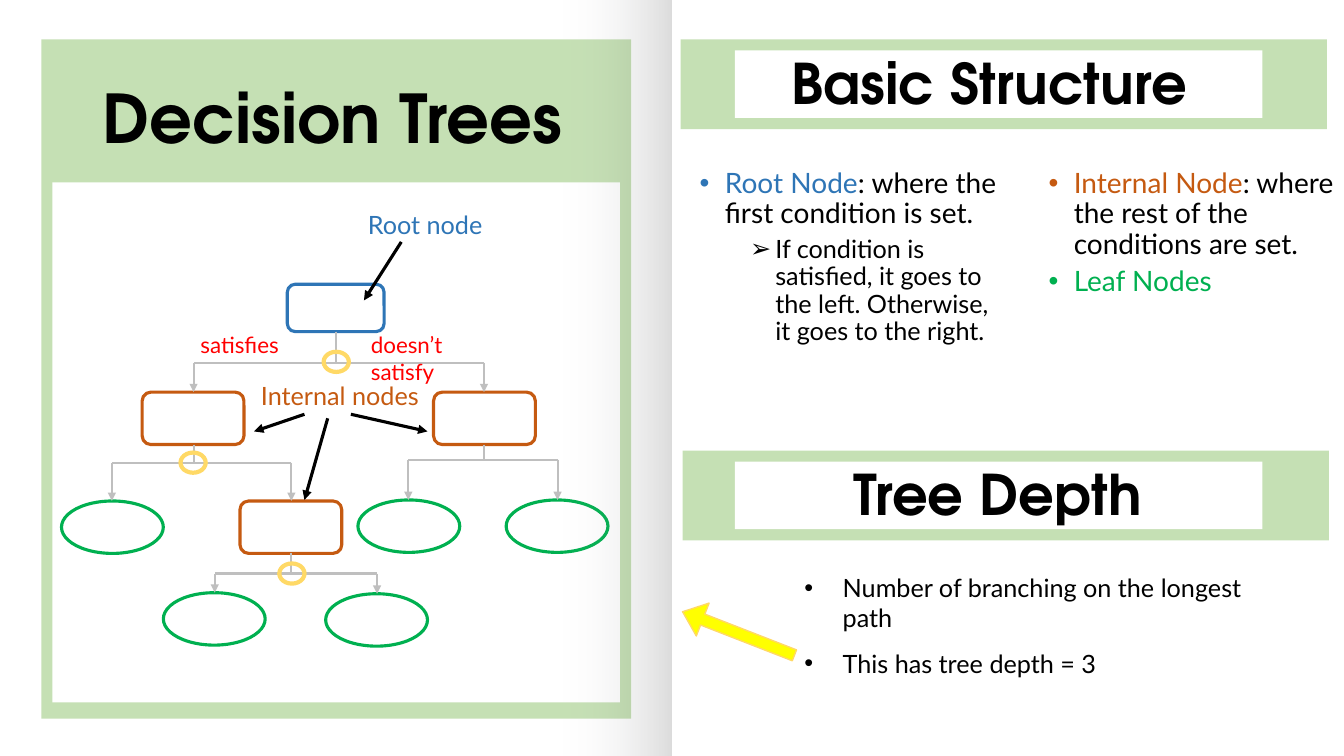
import pptx
import pptx.dml.color
import pptx.enum.shapes
import pptx.enum.text
import pptx.oxml
import pptx.oxml.ns
import pptx.util
from lxml import etree
from pptx.util import Inches

TEXT_FONT = "Lato"
TITLE_FONT = "TeX Gyre Adventor"
BLACK, WHITE, PALE_GREEN = "000000", "FFFFFF", "C5E0B4"
BLUE, ORANGE, GREEN, RED = "2E75B6", "C55A11", "00B050", "FF0000"
GRAY, GOLD, YELLOW = "BFBFBF", "FFD966", "FFFF00"

rgb = pptx.dml.color.RGBColor.from_string
qn = pptx.oxml.ns.qn
kinds = pptx.enum.shapes.MSO_SHAPE
center = pptx.enum.text.PP_ALIGN.CENTER

presentation = pptx.Presentation()
presentation.slide_width = Inches(13.33)
presentation.slide_height = Inches(7.5)
slide = presentation.slides.add_slide(presentation.slide_layouts[3])


def add_box(kind, left, top, width, height, fill=None, line=None, weight=2.25):
    shape = slide.shapes.add_shape(
        kind, Inches(left), Inches(top), Inches(width), Inches(height))
    shape.shadow.inherit = False
    if fill:
        shape.fill.solid()
        shape.fill.fore_color.rgb = rgb(fill)
    else:
        shape.fill.background()
    if line:
        shape.line.color.rgb = rgb(line)
        shape.line.width = pptx.util.Pt(weight)
    else:
        shape.line.fill.background()
    return shape


def write(frame, text, size=18, color=BLACK, font=TEXT_FONT, bold=False, align=None,
          lead="", lead_color=BLACK, bullet=None, indent=0, hang=0, level=0,
          spacing=1.0, before=0):
    """Add a paragraph; lead is an opening phrase in its own colour."""
    frame.word_wrap = True
    frame.auto_size = pptx.enum.text.MSO_AUTO_SIZE.NONE
    paragraph = frame.paragraphs[0] if not frame.text else frame.add_paragraph()
    paragraph.level = level
    if bullet:
        properties = paragraph._p.get_or_add_pPr()
        properties.set("marL", str(Inches(indent)))
        properties.set("indent", str(Inches(-hang)))
        etree.SubElement(properties, qn("a:buFont")).set("typeface", "Arial")
        etree.SubElement(properties, qn("a:buChar")).set("char", bullet)
    paragraph.alignment = align
    paragraph.line_spacing = spacing
    paragraph.space_before = pptx.util.Pt(before)
    for words, shade in ((lead, lead_color), (text, color)):
        if words:
            run = paragraph.add_run()
            run.text = words
            run.font.name = font
            run.font.size = pptx.util.Pt(size)
            run.font.bold = bold
            run.font.color.rgb = rgb(shade)


# Panels
for left, top, width, height, fill in (
        (6.77, 4.47, 6.41, 0.89, PALE_GREEN), (7.29, 4.58, 5.23, 0.67, WHITE),
        (0.41, 0.39, 5.85, 6.74, PALE_GREEN), (0.52, 1.81, 5.63, 5.16, WHITE),
        (6.75, 0.39, 6.41, 0.89, PALE_GREEN), (7.29, 0.5, 5.23, 0.67, WHITE)):
    add_box(kinds.RECTANGLE, left, top, width, height, fill)

# Title, brought in front of its panel
title = slide.shapes.title
title.left, title.top = Inches(0.57), Inches(0.7)
title.width, title.height = Inches(5.45), Inches(0.91)
title.text_frame.vertical_anchor = pptx.enum.text.MSO_ANCHOR.MIDDLE
write(title.text_frame, "Decision Trees", size=48, font=TITLE_FONT, bold=True, align=center)
title.element.getparent().append(title.element)

# Structure lists
root_list, node_list = slide.placeholders[1], slide.placeholders[2]
for column, left, width in ((root_list, 6.34, 3.66), (node_list, 9.8, 3.53)):
    column.left, column.top = Inches(left), Inches(1.63)
    column.width, column.height = Inches(width), Inches(2.8)
node_list.text_frame.margin_right = 0
list_format = dict(size=20, bullet="•", indent=0.75, hang=0.25, spacing=0.9)
write(root_list.text_frame, ": where the first condition is set.",
      lead="Root Node", lead_color=BLUE, **list_format)
write(root_list.text_frame,
      "If condition is satisfied, it goes to the left. Otherwise, it goes to the right.",
      bullet="➢", indent=1.25, hang=0.25, level=1, spacing=0.9, before=5)
write(node_list.text_frame, ": where the rest of the conditions are set.",
      lead="Internal Node", lead_color=ORANGE, **list_format)
write(node_list.text_frame, "Leaf Nodes", color=GREEN, before=5, **list_format)

# Tree nodes
add_box(kinds.ROUNDED_RECTANGLE, 2.85, 2.82, 0.96, 0.47, line=BLUE)
for left, top in ((1.41, 3.89), (4.3, 3.89), (2.38, 4.97)):
    add_box(kinds.ROUNDED_RECTANGLE, left, top, 1.01, 0.52, line=ORANGE)
for left, top in ((0.61, 4.97), (1.62, 5.88), (3.23, 5.89), (3.55, 4.96), (5.02, 4.96)):
    add_box(kinds.OVAL, left, top, 1.01, 0.52, line=GREEN)

# Branches: parent x, parent bottom, bar height, then x and top of each child
links = []
for x, bottom, bar, children in (
        (3.33, 3.29, 3.6, ((1.92, 3.89), (4.8, 3.89))),
        (1.92, 4.41, 4.59, ((1.11, 4.97), (2.89, 4.97))),
        (4.8, 4.41, 4.56, ((4.05, 4.96), (5.53, 4.96))),
        (2.89, 5.49, 5.69, ((2.13, 5.88), (3.74, 5.89)))):
    links.append((x, bottom, x, bar, GRAY, 1.5, False))
    for child_x, child_top in children:
        links.append((x, bar, child_x, bar, GRAY, 1.5, False))
        links.append((child_x, bar, child_x, child_top, GRAY, 1.5, True))
for pointer in ((3.98, 2.4, 3.61, 2.98), (3.02, 4.11, 2.52, 4.28),
                (3.25, 4.15, 3.02, 4.96), (3.48, 4.11, 4.24, 4.28)):
    links.append((*pointer, BLACK, 2.25, True))

for start_x, start_y, end_x, end_y, color, weight, has_arrow in links:
    connector = slide.shapes.add_connector(
        pptx.enum.shapes.MSO_CONNECTOR.STRAIGHT,
        Inches(start_x), Inches(start_y), Inches(end_x), Inches(end_y))
    connector.line.color.rgb = rgb(color)
    connector.line.width = pptx.util.Pt(weight)
    if has_arrow:
        etree.SubElement(connector.line._get_or_add_ln(), qn("a:tailEnd")).set("type", "triangle")
    etree.SubElement(connector._element.spPr, qn("a:effectLst"))

# Rings around the branchings that make up the depth
for left, top in ((2.77, 5.59), (1.79, 4.49), (3.21, 3.49)):
    add_box(kinds.OVAL, left, top, 0.25, 0.2, line=GOLD, weight=3)

# Labels and section headings
heading = dict(size=40, font=TITLE_FONT, bold=True, align=center)
for text, left, top, width, height, text_format in (
        ("satisfies", 1.89, 3.24, 1.17, 0.37, dict(size=16, color=RED)),
        ("doesn’t satisfy", 3.58, 3.24, 1.55, 0.37, dict(size=16, color=RED)),
        ("Root node", 3.55, 2.03, 1.52, 0.4, dict(color=BLUE)),
        ("Internal nodes", 2.49, 3.72, 1.8, 0.4, dict(color=ORANGE)),
        ("Basic Structure", 7.47, 0.43, 4.68, 0.77, heading),
        ("Tree Depth", 6.97, 4.51, 5.85, 0.77, heading)):
    label = slide.shapes.add_textbox(Inches(left), Inches(top), Inches(width), Inches(height))
    write(label.text_frame, text, **text_format)

# Tree depth
depth_list = slide.shapes.add_textbox(Inches(7.38), Inches(5.63), Inches(5.05), Inches(1.4))
for text, spacing in (("Number of branching on the longest path", 1.0),
                      ("This has tree depth = 3", 1.5)):
    write(depth_list.text_frame, text, bullet="•", indent=0.88, hang=0.38, spacing=spacing)
depth_arrow = add_box(kinds.RIGHT_ARROW, 6.73, 6.11, 1.19, 0.35, YELLOW, GOLD, 1)
depth_arrow.adjustments[0], depth_arrow.adjustments[1] = 0.33, 0.61
depth_arrow.rotation = 201.3

# Shade along the fold between the two pages
fold = add_box(kinds.RECTANGLE, 5.55, 0, 1.11, 7.5)
fold.fill.gradient()
fold.fill.gradient_angle = 0
for stop, position, color, opacity in zip(
        fold.fill.gradient_stops, (0, 1), ("F6F8FC", "0D0D0D"), (0, 15000)):
    stop.position = position
    stop.color.rgb = rgb(color)
    etree.SubElement(stop._gs.find(qn("a:srgbClr")), qn("a:alpha")).set("val", str(opacity))

presentation.save("out.pptx")
